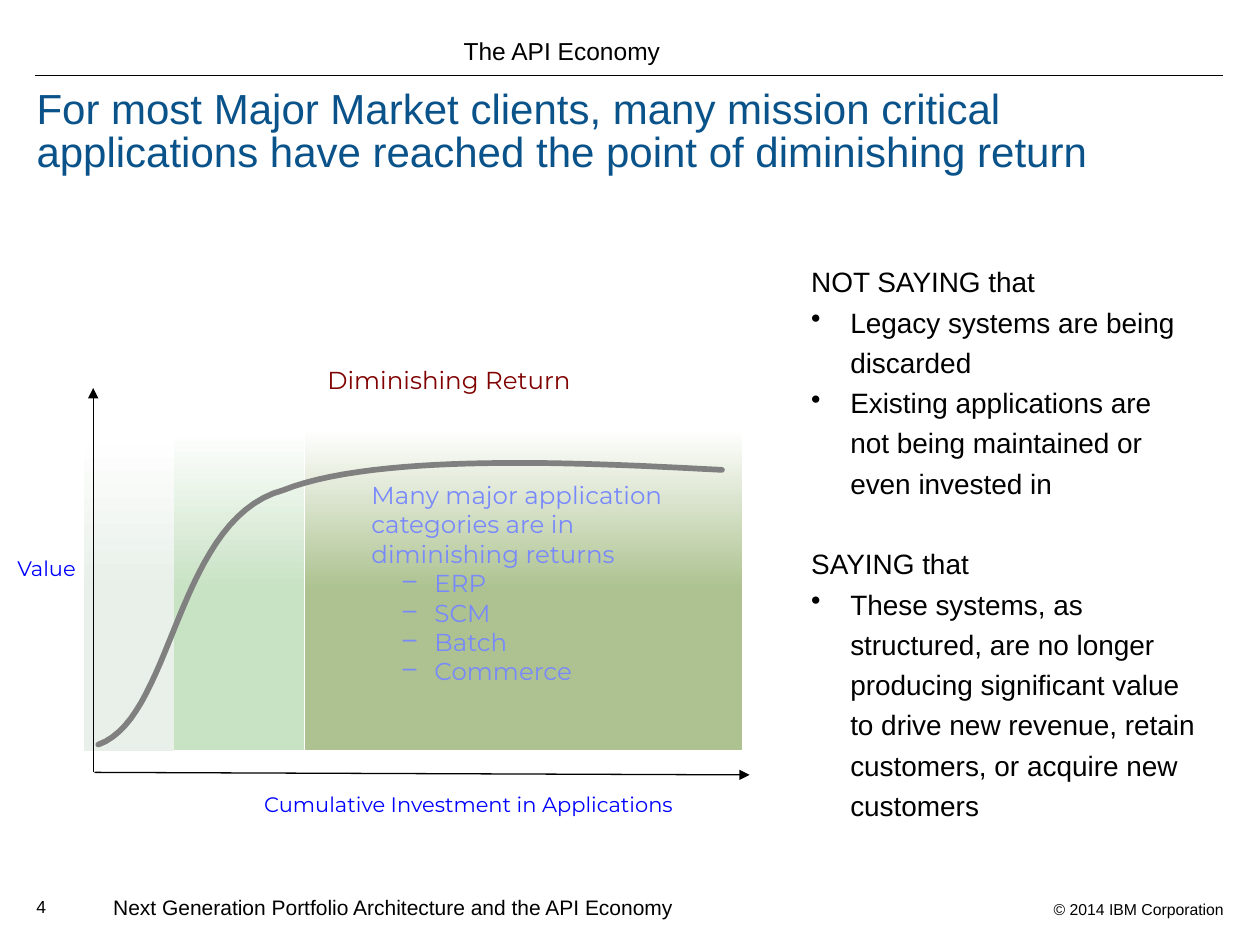
import pptx
import pptx.util
import pptx.dml.color
import pptx.enum.shapes
import pptx.enum.text
import pptx.oxml.ns
from dataclasses import dataclass
from lxml import etree

Pt = pptx.util.Pt
ALIGN = pptx.enum.text.PP_ALIGN
ANCHOR = pptx.enum.text.MSO_ANCHOR
SHAPE = pptx.enum.shapes


@dataclass(frozen=True)
class Theme:
    black: str = "000000"
    white: str = "FFFFFF"
    title: str = "0A538A"
    axis: str = "0000FF"
    head: str = "800000"
    note: str = "7889FB"
    curve: str = "808080"
    sans: str = "Arial"
    round: str = "Montserrat"
    tiny: int = 9
    page: int = 10
    small: int = 12
    mid: int = 14
    body: int = 16
    large: int = 24
    thin: float = 0.75
    thick: float = 3.25


def color(code):
    return pptx.dml.color.RGBColor.from_string(code)


def child(node, tag, **attrs):
    return etree.SubElement(node, pptx.oxml.ns.qn(tag), attrs)


def assign(thing, values):
    for name, value in values.items():
        setattr(thing, name, value)


class Page:
    cols, rows = 100, 75

    def __init__(self, deck, theme):
        self.theme = theme
        self.unit = deck.slide_width / self.cols
        self.shapes = deck.slides.add_slide(deck.slide_layouts[6]).shapes

    def span(self, *cells):
        return [round(cell * self.unit) for cell in cells]

    def text(self, box, lines, size, tone="black", font="sans", align=ALIGN.LEFT,
             anchor=ANCHOR.TOP, wrap=True, left=1, right=1, lead=None):
        frame = self.shapes.add_textbox(*self.span(*box)).text_frame
        near, far, edge = self.span(left, right, 0.5)
        assign(frame, dict(word_wrap=wrap, vertical_anchor=anchor, margin_left=near,
                           margin_right=far, margin_top=edge, margin_bottom=edge))
        for index, line in enumerate(lines):
            words, mark, indent, hang, gap = (line + ("", 0, 0, 0))[:5] if isinstance(line, tuple) else (line, "", 0, 0, 0)
            para = frame.add_paragraph() if index else frame.paragraphs[0]
            assign(para, dict(alignment=align, line_spacing=lead))
            if gap:
                para.space_before = Pt(gap)
            if mark:
                props = para._p.get_or_add_pPr()
                start, back = self.span(indent, hang)
                props.set("marL", str(start))
                props.set("indent", str(-back))
                child(props, "a:buChar", char=mark)
            run = para.add_run()
            run.text = words
            assign(run.font, dict(size=Pt(size), name=getattr(self.theme, font)))
            run.font.color.rgb = color(getattr(self.theme, tone))

    def band(self, box, tone):
        shape = self.shapes.add_shape(SHAPE.MSO_SHAPE.RECTANGLE, *self.span(*box))
        shape.shadow.inherit = False
        shape.line.fill.background()
        shape.fill.gradient()
        shape.fill.gradient_angle = 270
        tones = (self.theme.white, tone)
        for stop, place, code in zip(shape.fill.gradient_stops, (0, 0.5), tones):
            stop.position = place
            stop.color.rgb = color(code)

    def stroke(self, line, tone, width):
        line.color.rgb = color(tone)
        line.width = Pt(width)

    def line(self, start, end, arrow=False):
        link = self.shapes.add_connector(SHAPE.MSO_CONNECTOR.STRAIGHT, *self.span(*start, *end))
        self.stroke(link.line, self.theme.black, self.theme.thin)
        if arrow:
            child(link.line._get_or_add_ln(), "a:tailEnd", type="triangle")
        child(link._element.spPr, "a:effectLst")

    def curve(self, start, parts, steps=30):
        points, first = [], start
        for one, two, last in parts:
            for step in range(1, steps + 1):
                t = step / steps
                u = 1 - t
                points.append(self.span(*(
                    u**3 * a + 3 * u * u * t * b + 3 * u * t * t * c + t**3 * d
                    for a, b, c, d in zip(first, one, two, last))))
            first = last
        path = self.shapes.build_freeform(*self.span(*start))
        path.add_line_segments(points, close=False)
        shape = path.convert_to_shape()
        shape.shadow.inherit = False
        shape.fill.background()
        self.stroke(shape.line, self.theme.curve, self.theme.thick)
        shape.line._get_or_add_ln().set("cap", "rnd")


def main():
    deck = pptx.Presentation()
    assign(deck, dict(slide_width=pptx.util.Inches(10), slide_height=pptx.util.Inches(7.5)))
    theme = Theme()
    page = Page(deck, theme)

    page.line((2.8, 6), (97.1, 6))
    page.text((64.7, 70.9, 33.4, 2.5), ["© 2014 IBM Corporation"], theme.tiny, align=ALIGN.RIGHT)
    page.text((1.9, 70.6, 6, 2.7), ["4"], theme.page)
    page.text((36.8, 0.3, 34.4, 5.4), ["The API Economy"], theme.mid, anchor=ANCHOR.BOTTOM, left=0)
    page.text((2.9, 6.7, 94.6, 12.5),
              ["For most Major Market clients, many mission critical applications "
               "have reached the point of diminishing return"],
              theme.large, "title", left=0, right=0, lead=0.85)
    page.text((8, 70.5, 46.9, 3),
              ["Next Generation Portfolio Architecture and the API Economy"],
              theme.small, wrap=False)

    for left, top, width, tone in ((24.2, 34.1, 34.7, "ADC290"),
                                   (13.2, 34.1, 10.9, "C8E2C4"),
                                   (6.7, 34.2, 7.1, "E8F0E9")):
        page.band((left, top, width, 25.4), tone)
    page.line((7.4, 61.3), (7.4, 30.8), arrow=True)
    page.line((7.5, 61.3), (59.5, 61.5), arrow=True)
    page.curve((7.8, 59.1), [((13.8, 57), (13.9, 41.2), (22.5, 38.9)),
                             ((30.5, 35.7), (49.3, 36.9), (57.3, 37.3))])

    page.text((0.1, 43.6, 7.2, 3), ["Value"], theme.small, "axis", "round", ALIGN.CENTER, wrap=False)
    page.text((18, 62.3, 38.4, 3), ["Cumulative Investment in Applications"],
              theme.small, "axis", "round", ALIGN.CENTER)
    page.text((25, 28.5, 27.6, 3.4), ["Diminishing Return"], theme.mid, "head", "round")
    kinds = [(kind, "–", 5, 2.5) for kind in ("ERP", "SCM", "Batch", "Commerce")]
    page.text((28.5, 37.6, 27.4, 19.9),
              ["Many major application categories are in diminishing returns"] + kinds,
              theme.mid, "note", "round")

    dot = ("•", 3.1, 3.1)
    page.text((63.4, 20, 32.6, 46.2),
              ["NOT SAYING that",
               ("Legacy systems are being discarded", *dot),
               ("Existing applications are not being maintained or even invested in", *dot),
               ("SAYING that", "", 0, 0, 23),
               ("These systems, as structured, are no longer producing significant value "
                "to drive new revenue, retain customers, or acquire new customers", *dot)],
              theme.body, lead=1.2)
    deck.save("out.pptx")


if __name__ == "__main__":
    main()
